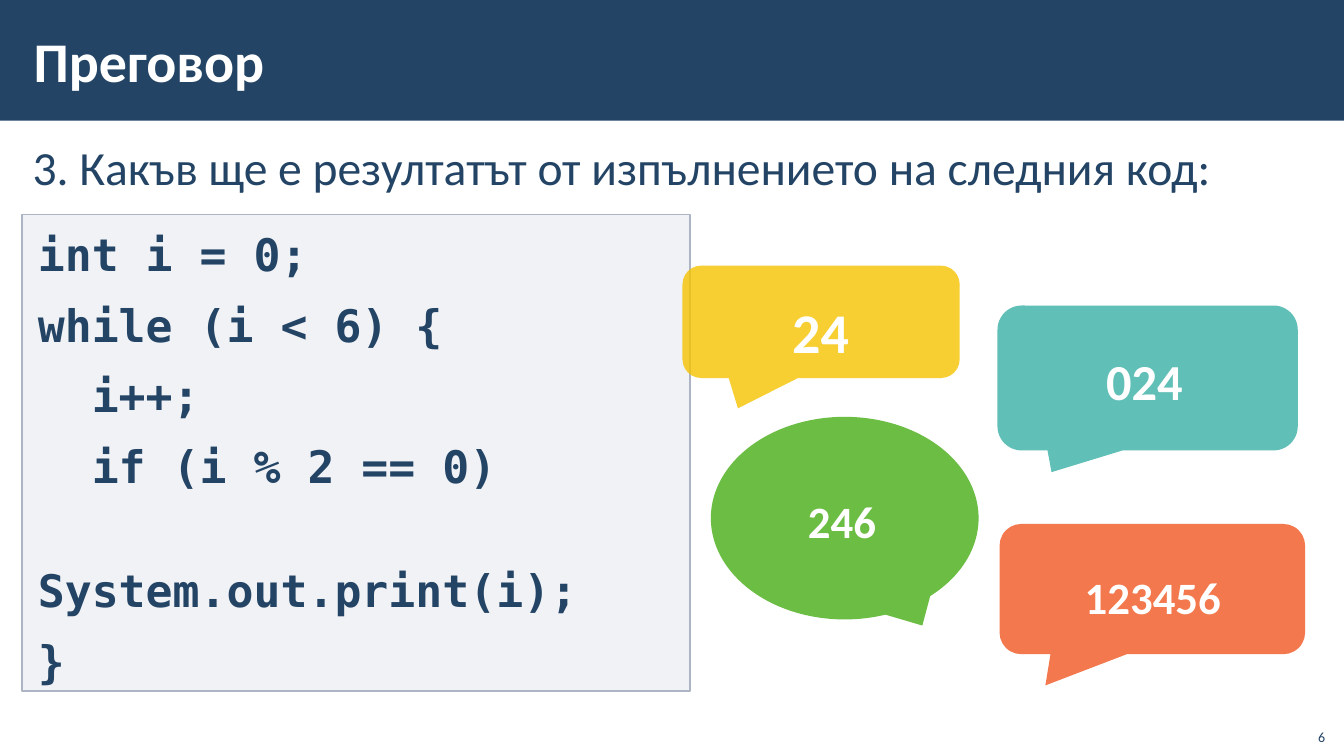
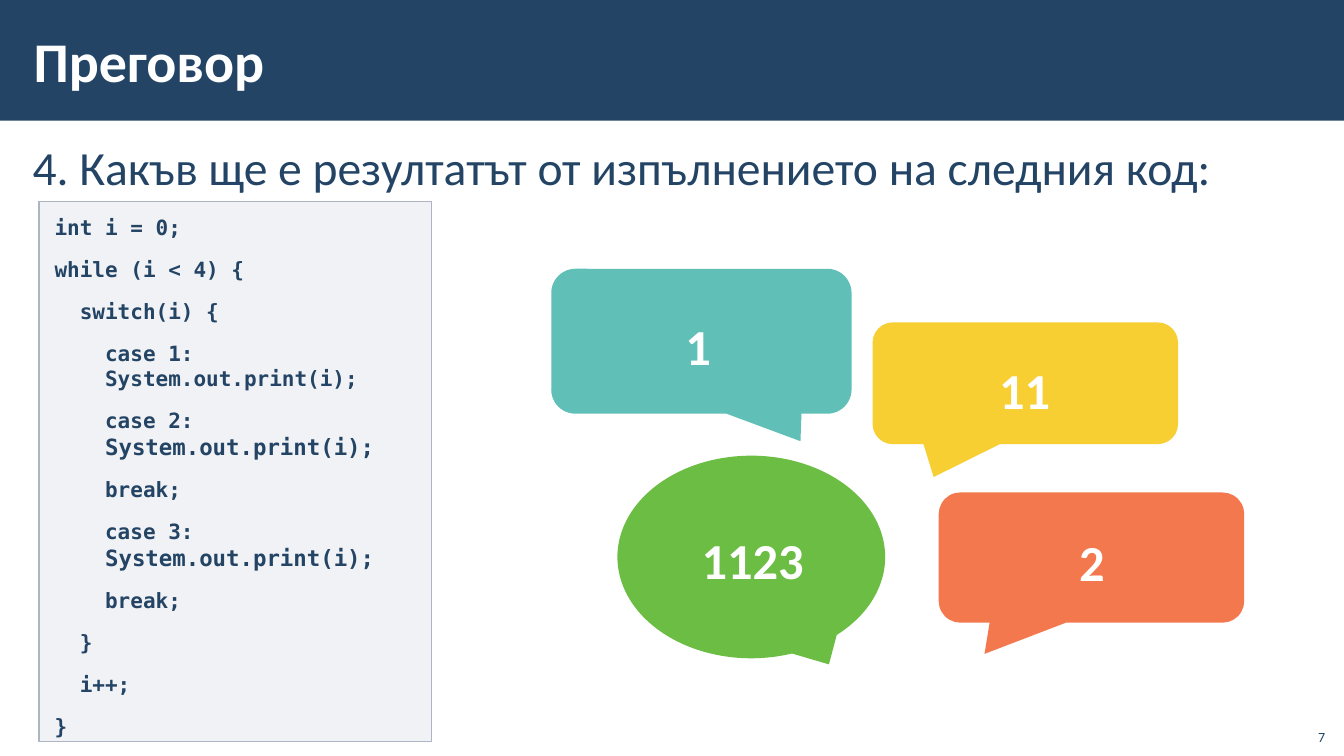
"""Builds two review slides, each with a code sample and four answer callouts."""
from dataclasses import dataclass

from lxml.etree import SubElement
from pptx import Presentation
from pptx.dml.color import RGBColor
from pptx.enum.shapes import MSO_SHAPE
from pptx.enum.text import MSO_ANCHOR, MSO_AUTO_SIZE, PP_ALIGN
from pptx.oxml.ns import qn
from pptx.util import Emu, Pt


@dataclass(frozen=True)
class Theme:
    navy: str = "234465"
    white: str = "FFFFFF"
    code_fill: str = "A3ABBC"
    code_line: str = "ADB4C3"
    green: str = "6CBD44"
    yellow: str = "F5C300"
    orange: str = "F15721"
    teal: str = "60BFB7"
    text_font: str = "Calibri"
    code_font: str = "DejaVu Sans Mono"
    title_size: int = 40
    question_size: int = 34
    number_size: int = 10


THEME = Theme()
EMU_PER_PX = 9525
SLIDE_WIDTH, SLIDE_HEIGHT = 1280, 720
TITLE = "Преговор"
BAND_BOX = (0, 0, SLIDE_WIDTH, 115)
TITLE_BOX = (20, 11, 1020, 93)
NUMBER_BOX = (1234, 684, 38, 31)
HEADING_INSETS = (12, 4)
CODE_INSETS = (15, 12)

BUBBLES = {
    "green": dict(preset=MSO_SHAPE.OVAL_CALLOUT, fill=THEME.green, opacity=100, indent=48, spacing=1.0),
    "yellow": dict(preset=MSO_SHAPE.ROUNDED_RECTANGULAR_CALLOUT, fill=THEME.yellow, opacity=80, indent=0, spacing=1.1),
    "orange": dict(preset=MSO_SHAPE.ROUNDED_RECTANGULAR_CALLOUT, fill=THEME.orange, opacity=80, indent=0, spacing=1.1),
    "teal": dict(preset=MSO_SHAPE.ROUNDED_RECTANGULAR_CALLOUT, fill=THEME.teal, opacity=100, indent=0, spacing=1.1),
}

REVIEWS = [
    dict(
        number="6",
        question="3. Какъв ще е резултатът от изпълнението на следния код:",
        question_box=(19, 125, 1239, 544),
        code=["int i = 0;", "while (i < 6) {", "  i++;", "  if (i % 2 == 0)", "    System.out.print(i);", "}"],
        code_box=(21, 204, 636, 454),
        code_sizes=(32,),
        answers=[
            ("246", 32, "green", (677, 397, 255, 193), (621, 458, 314, 75), (0.29, 0.53)),
            ("24", 40, "yellow", (650, 253, 264, 107), (651, 265, 261, 84), (-0.3, 0.77)),
            ("123456", 32, "orange", (952, 499, 291, 124), (950, 525, 296, 77), (-0.35, 0.74)),
            ("024", 36, "teal", (950, 291, 286, 138), (981, 316, 218, 84), (-0.32, 0.65)),
        ],
    ),
    dict(
        number="7",
        question="4. Какъв ще е резултатът от изпълнението на следния код:",
        question_box=(19, 125, 1239, 595),
        code=[
            "int i = 0;",
            "while (i < 4) {",
            "  switch(i) {",
            "    case 1:\n    System.out.print(i);",
            ("    case 2:\n    ", "System.out.print(i);"),
            "    break;",
            ("    case 3:\n    ", "System.out.print(i);"),
            "    break;",
            "  }",
            "  i++;",
            "}",
        ],
        code_box=(37, 192, 374, 514),
        code_sizes=(15, 16),
        answers=[
            ("1123", 36, "green", (588, 434, 255, 193), (536, 492, 314, 81), (0.29, 0.53)),
            ("11", 36, "yellow", (831, 307, 291, 116), (832, 324, 288, 84), (-0.3, 0.77)),
            ("2", 36, "orange", (894, 469, 291, 124), (892, 488, 296, 84), (-0.35, 0.74)),
            ("1", 36, "teal", (525, 256, 286, 138), (556, 282, 218, 84), (0.33, 0.69)),
        ],
    ),
]


def px(length):
    """Converts pixels to EMU."""
    return Emu(length * EMU_PER_PX)


def emu_box(box):
    """Converts a pixel box to EMU."""
    return [px(length) for length in box]


def place(part, box):
    """Moves and sizes a placeholder."""
    part.left, part.top, part.width, part.height = emu_box(box)


def paint(part, color, opacity=100):
    """Fills a shape, with an opacity in percent."""
    part.fill.solid()
    part.fill.fore_color.rgb = RGBColor.from_string(color)
    if opacity < 100:
        tint = part.fill._xPr.find(qn("a:solidFill"))[0]
        SubElement(tint, qn("a:alpha"), val=str(opacity * 1000))


def write(part, paragraphs, *, sizes, color=THEME.navy, font=THEME.text_font, bold=False,
          align=PP_ALIGN.LEFT, anchor=MSO_ANCHOR.TOP, insets=HEADING_INSETS,
          spacing=1.0, gap=0, indent=0):
    """Writes paragraphs, each a string or a tuple of runs matched to sizes."""
    frame = part.text_frame
    frame.word_wrap = True
    frame.auto_size = MSO_AUTO_SIZE.NONE
    frame.vertical_anchor = anchor
    frame.margin_left = frame.margin_right = px(insets[0])
    frame.margin_top = frame.margin_bottom = px(insets[1])
    for index, content in enumerate(paragraphs):
        paragraph = frame.add_paragraph() if index else frame.paragraphs[0]
        paragraph.alignment = align
        paragraph.line_spacing = spacing
        paragraph.space_before = paragraph.space_after = Pt(gap)
        properties = paragraph._p.get_or_add_pPr()
        properties.set("marL", str(px(indent)))
        properties.set("indent", "0")
        SubElement(properties, qn("a:buNone"))
        pieces = (content,) if isinstance(content, str) else content
        for piece, size in zip(pieces, sizes):
            for line_index, line in enumerate(piece.split("\n")):
                if line_index:
                    paragraph.add_line_break()
                run = paragraph.add_run()
                run.text = line
                run.font.name = font
                run.font.size = Pt(size)
                run.font.bold = bold
                run.font.color.rgb = RGBColor.from_string(color)


def add_bubble(slide, preset, fill, opacity, box, pointer):
    """Adds a group holding one callout and returns the group."""
    group = slide.shapes.add_group_shape()
    bubble = group.shapes.add_shape(preset, *emu_box(box))
    bubble.shadow.inherit = False
    bubble.line.fill.background()
    paint(bubble, fill, opacity)
    for index, offset in enumerate(pointer):
        bubble.adjustments[index] = offset
    return group


def add_answer(slide, answer, size, style, box, label_box, pointer):
    """Adds an answer callout with its label."""
    look = BUBBLES[style]
    group = add_bubble(slide, look["preset"], look["fill"], look["opacity"], box, pointer)
    label = group.shapes.add_textbox(*emu_box(label_box))
    write(label, [answer], sizes=(size,), color=THEME.white, bold=True, align=PP_ALIGN.CENTER,
          insets=CODE_INSETS, spacing=look["spacing"], indent=look["indent"])


def add_band(layout, slide):
    """Puts the title band on the layout, behind its placeholders."""
    band = slide.shapes.add_shape(MSO_SHAPE.RECTANGLE, *emu_box(BAND_BOX))
    band.shadow.inherit = False
    band.line.fill.background()
    paint(band, THEME.navy)
    layout.shapes.element.insert(2, band.element)


def fill_slide(slide, review):
    """Fills one review slide."""
    title, question, code = slide.placeholders
    place(title, TITLE_BOX)
    write(title, [TITLE], sizes=(THEME.title_size,), color=THEME.white, bold=True, anchor=MSO_ANCHOR.MIDDLE)
    place(question, review["question_box"])
    write(question, [review["question"]], sizes=(THEME.question_size,), spacing=1.05, gap=6)
    place(code, review["code_box"])
    paint(code, THEME.code_fill, 15)
    code.line.color.rgb = RGBColor.from_string(THEME.code_line)
    code.line.width = Pt(1)
    write(code, review["code"], sizes=review["code_sizes"], font=THEME.code_font, bold=True,
          insets=CODE_INSETS, gap=6)
    for answer in review["answers"]:
        add_answer(slide, *answer)
    number = slide.shapes.add_textbox(*emu_box(NUMBER_BOX))
    write(number, [review["number"]], sizes=(THEME.number_size,), align=PP_ALIGN.RIGHT,
          anchor=MSO_ANCHOR.BOTTOM, insets=(10, 5))


def main():
    """Builds and saves the presentation."""
    presentation = Presentation()
    presentation.slide_width, presentation.slide_height = px(SLIDE_WIDTH), px(SLIDE_HEIGHT)
    layout = presentation.slide_layouts.get_by_name("Two Content")
    slides = [presentation.slides.add_slide(layout) for _ in REVIEWS]
    add_band(layout, slides[0])
    for slide, review in zip(slides, REVIEWS):
        fill_slide(slide, review)
    presentation.save("out.pptx")


if __name__ == "__main__":
    main()
